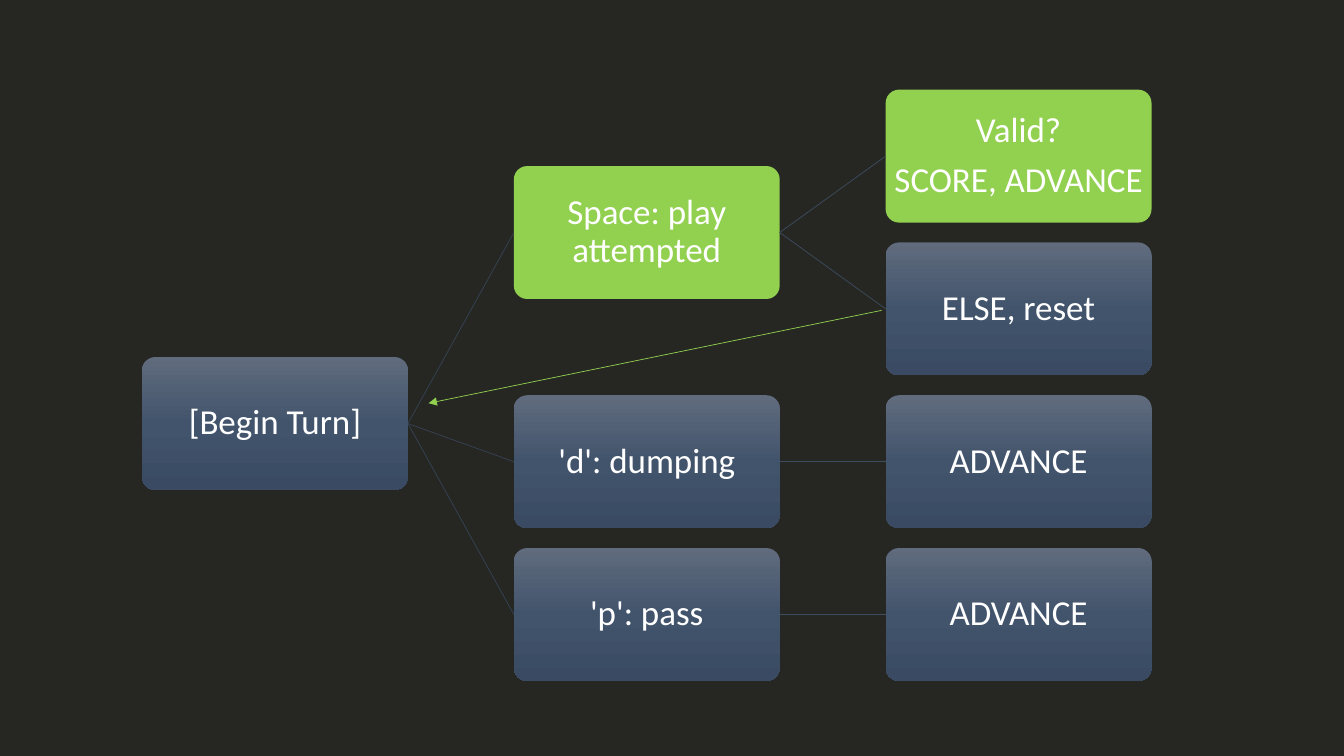
from copy import deepcopy
from dataclasses import dataclass

from pptx import Presentation, util as u
from pptx.dml.color import RGBColor
from pptx.enum import shapes, text
from pptx.oxml import parse_xml
from pptx.oxml.ns import nsdecls, qn


@dataclass(frozen=True)
class Theme:
    background: str = "262722"
    ink: str = "FFFFFF"
    accent: str = "92D050"
    gradient: tuple[str, ...] = ("606B7D", "42546C", "394A62")
    branches: tuple[str, ...] = ("364355", "3E4C60")
    font: str = "Calibri"
    size: float = 25
    line: float = 0.5


@dataclass(frozen=True)
class Node:
    label: str
    col: int
    row: float
    parent: int | None = None
    accent: bool = False


THEME = Theme()
LEFT, TOP = 3.58, 2.26
COL_STEP, ROW_STEP = 9.37, 3.85
WIDTH, HEIGHT = 6.7, 3.35
INSET = u.Cm(0.05)

NODES = [
    Node("[Begin Turn]", 0, 1.75),
    Node("Space: play attempted", 1, 0.5, 0, True),
    Node("Valid?\nSCORE, ADVANCE", 2, 0, 1, True),
    Node("ELSE, reset", 2, 1, 1),
    Node("'d': dumping", 1, 2, 0),
    Node("ADVANCE", 2, 2, 4),
    Node("'p': pass", 1, 3, 0),
    Node("ADVANCE", 2, 3, 6),
]

FRAME = dict(word_wrap=True, vertical_anchor=text.MSO_ANCHOR.MIDDLE,
             margin_left=INSET, margin_right=INSET,
             margin_top=INSET, margin_bottom=INSET)
PARAGRAPH = dict(alignment=text.PP_ALIGN.CENTER, line_spacing=0.9,
                 space_after=u.Pt(8.75))
FONT = dict(name=THEME.font, size=u.Pt(THEME.size))


def rgb(value: str) -> RGBColor:
    return RGBColor.from_string(value)


def apply(target, values: dict) -> None:
    for name, value in values.items():
        setattr(target, name, value)


def fill_gradient(sp) -> None:
    fill = sp.fill
    fill.gradient()
    fill.gradient_angle = 270
    stops = sp._element.spPr.find(qn("a:gradFill")).find(qn("a:gsLst"))
    stops.append(deepcopy(stops[-1]))
    last = len(THEME.gradient) - 1
    for i, (stop, color) in enumerate(zip(fill.gradient_stops, THEME.gradient)):
        stop.position = i / last
        stop.color.rgb = rgb(color)


def add_node(s, node: Node):
    sp = s.shapes.add_shape(
        shapes.MSO_SHAPE.ROUNDED_RECTANGLE,
        u.Cm(LEFT + node.col * COL_STEP), u.Cm(TOP + node.row * ROW_STEP),
        u.Cm(WIDTH), u.Cm(HEIGHT))
    sp.adjustments[0] = 0.1
    sp.shadow.inherit = False
    sp.line.fill.background()
    if node.accent:
        sp.fill.solid()
        sp.fill.fore_color.rgb = rgb(THEME.accent)
    else:
        fill_gradient(sp)
    tf = sp.text_frame
    tf.text = node.label
    apply(tf, FRAME)
    for p in tf.paragraphs:
        apply(p, PARAGRAPH)
        for r in p.runs:
            apply(r.font, FONT)
            r.font.color.rgb = rgb(THEME.ink)
    return sp


def add_line(s, color: str, x1: float = 0, y1: float = 0,
             x2: float = 0, y2: float = 0):
    cxn = s.shapes.add_connector(shapes.MSO_CONNECTOR.STRAIGHT,
                                 u.Cm(x1), u.Cm(y1), u.Cm(x2), u.Cm(y2))
    cxn.line.color.rgb = rgb(color)
    cxn.line.width = u.Pt(THEME.line)
    cxn._element.spPr.append(parse_xml(f"<a:effectLst {nsdecls('a')}/>"))
    return cxn


def main() -> None:
    prs = Presentation()
    prs.slide_width, prs.slide_height = u.Cm(33.87), u.Cm(19.05)
    s = prs.slides.add_slide(prs.slide_layouts[6])
    s.background.fill.solid()
    s.background.fill.fore_color.rgb = rgb(THEME.background)

    boxes = [add_node(s, node) for node in NODES]
    for node, box in zip(NODES, boxes):
        if node.parent is not None:
            branch = add_line(s, THEME.branches[node.col - 1])
            branch.begin_connect(boxes[node.parent], 3)
            branch.end_connect(box, 1)

    reset = add_line(s, THEME.accent, 22.22, 7.82, 10.8, 10.16)
    reset.line._get_or_add_ln().append(
        parse_xml(f'<a:tailEnd {nsdecls("a")} type="triangle"/>'))
    prs.save("out.pptx")


if __name__ == "__main__":
    main()
